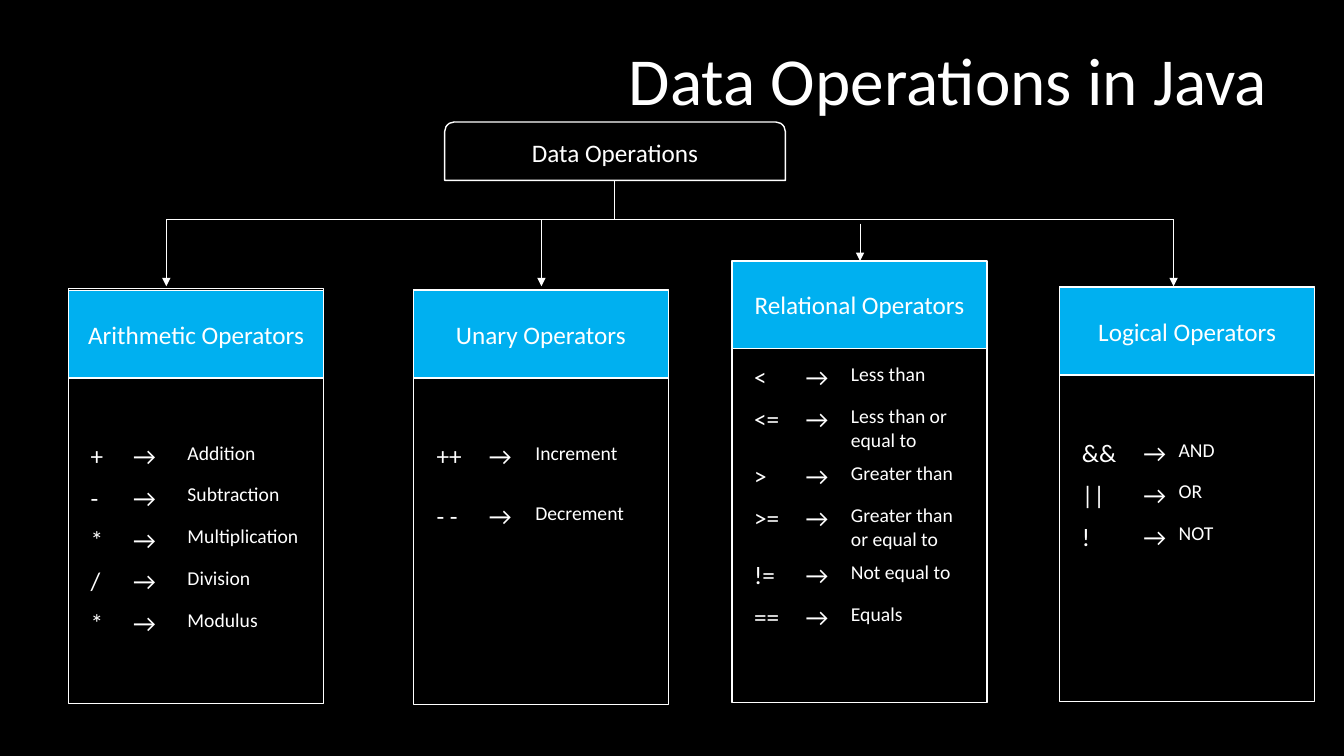
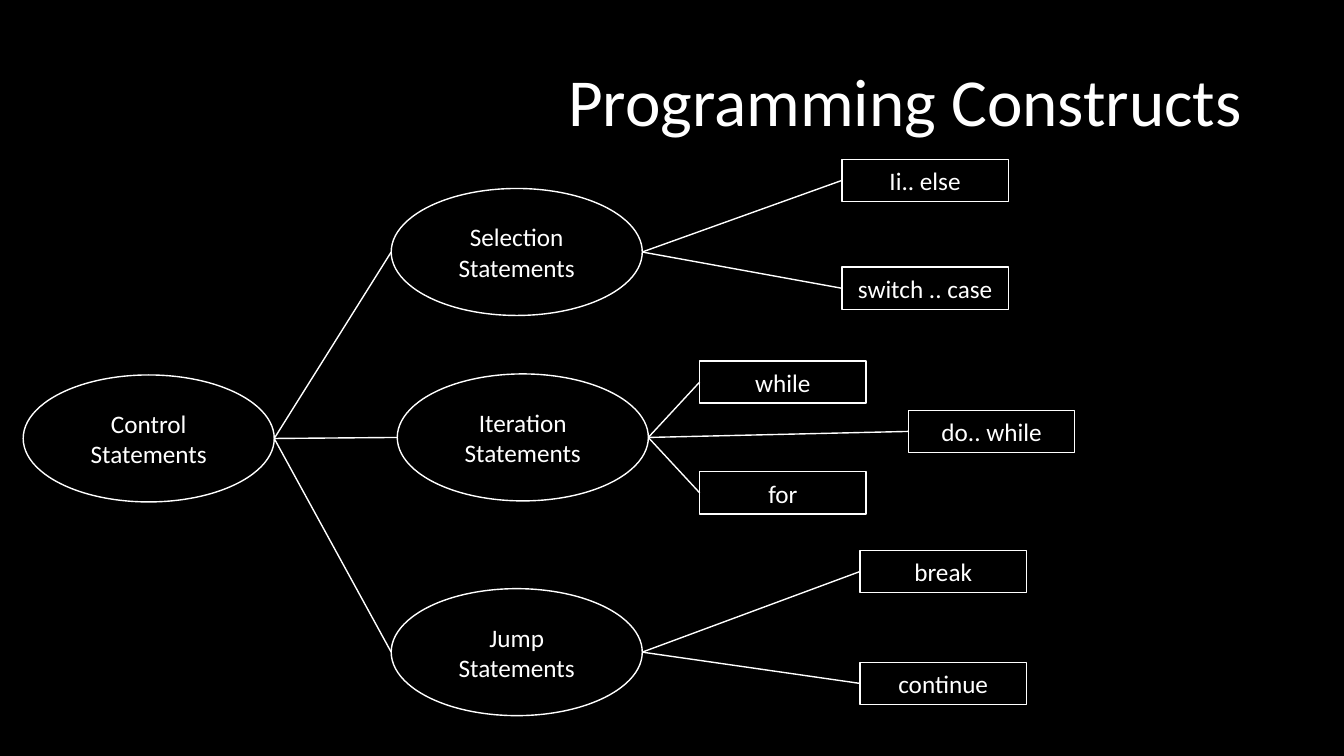
from lxml import etree
from pptx import Presentation
from pptx.dml.color import RGBColor
from pptx.enum.shapes import MSO_CONNECTOR, MSO_SHAPE
from pptx.enum.text import MSO_ANCHOR, PP_ALIGN
from pptx.oxml.ns import qn
from pptx.util import Inches, Pt

# Shared look
BLACK, WHITE, BLUE = "000000", "FFFFFF", "00B0F0"
FONT = "Calibri"
TITLE_SIZE, LABEL_SIZE, MEANING_SIZE = 48, 18, 14
PLAIN_TABLE_STYLE = "{2D5ABB26-0587-4C30-8999-92F81FD0307C}"

RECT, OVAL = MSO_SHAPE.RECTANGLE, MSO_SHAPE.OVAL
ROUND_TOP = MSO_SHAPE.ROUND_2_SAME_RECTANGLE
STRAIGHT = MSO_CONNECTOR.STRAIGHT
MIDDLE = MSO_ANCHOR.MIDDLE
LEFT, CENTER, RIGHT = PP_ALIGN.LEFT, PP_ALIGN.CENTER, PP_ALIGN.RIGHT

# Operator panels
PANEL_WIDTH, BODY_HEIGHT, HEADER_HEIGHT = 2.53, 4.12, 0.87
BUS_Y, BUS_START, BUS_END = 2.18, 1.65, 11.64
# name, left, body top, header top, table (left, top), columns, row heights, rows
PANELS = [
    ("Arithmetic Operators", 0.68, 2.86, 2.88, (0.8, 4.33), (0.42, 0.54, 1.32),
     [0.415] * 5,
     [("+", "Addition"), ("-", "Subtraction"), ("*", "Multiplication"),
      ("/", "Division"), ("*", "Modulus")]),
    ("Unary Operators", 4.1, 2.87, 2.88, (4.23, 4.33), (0.52, 0.46, 1.34),
     [0.6, 0.58],
     [("++", "Increment"), ("- -", "Decrement")]),
    ("Relational Operators", 7.26, 2.85, 2.59, (7.38, 3.55), (0.51, 0.45, 1.32),
     [0.415] * 6,
     [("<", "Less than"), ("<=", "Less than or equal to"),
      (">", "Greater than"), (">=", "Greater than or equal to"),
      ("!=", "Not equal to"), ("==", "Equals")]),
    ("Logical Operators", 10.51, 2.84, 2.85, (10.63, 4.3), (0.61, 0.35, 1.32),
     [0.415] * 3,
     [("&&", "AND"), ("||", "OR"), ("!", "NOT")]),
]
# x, start y, end y
DROPS = [(BUS_START, BUS_Y, 2.84), (5.37, BUS_Y, 2.84),
         (BUS_END, BUS_Y, 2.84), (8.53, 2.22, 2.59)]

# Control statement tree
OVAL_SIZE, LEAF_SIZE = (2.49, 1.26), (1.65, 0.42)
BRANCHES = [
    ("Selection Statements", 3.88, 1.87,
     [("Ii.. else", 8.35, 1.58), ("switch .. case", 8.35, 2.65)]),
    ("Iteration Statements", 3.94, 3.71,
     [("while", 6.94, 3.58), ("do.. while", 9.01, 4.07), ("for", 6.94, 4.68)]),
    ("Jump Statements", 3.88, 5.84,
     [("break", 8.53, 5.46), ("continue", 8.53, 6.57)]),
]


def color(hex_code):
    return RGBColor.from_string(hex_code)


def fill_with(target, hex_code):
    target.fill.solid()
    target.fill.fore_color.rgb = color(hex_code)


def write(frame, text, size, align=LEFT):
    para = frame.paragraphs[0]
    para.alignment = align
    span = para.add_run()
    span.text = text
    span.font.name = FONT
    span.font.size = Pt(size)
    span.font.color.rgb = color(WHITE)
    return para


def add_page(deck, title, left, top, width, height):
    page = deck.slides.add_slide(deck.slide_layouts[6])
    fill_with(page.background, BLACK)
    box = page.shapes.add_textbox(*map(Inches, (left, top, width, height)))
    fill_with(box, BLACK)
    box.text_frame.word_wrap = True
    box.text_frame.vertical_anchor = MIDDLE
    write(box.text_frame, title, TITLE_SIZE, RIGHT).line_spacing = 0.9
    return page


def add_box(page, kind, left, top, width, height, text="", fill=BLACK):
    box = page.shapes.add_shape(kind, *map(Inches, (left, top, width, height)))
    box.shadow.inherit = False
    fill_with(box, fill)
    box.line.color.rgb = color(WHITE)
    box.line.width = Pt(1)
    if text:
        box.text_frame.word_wrap = True
        box.text_frame.vertical_anchor = MIDDLE
        write(box.text_frame, text, LABEL_SIZE, CENTER)
    return box


def add_line(page, start, end, width, arrow=False):
    line = page.shapes.add_connector(STRAIGHT, *start, *end)
    line.line.color.rgb = color(WHITE)
    line.line.width = Pt(width)
    if arrow:
        etree.SubElement(line.line._get_or_add_ln(), qn("a:tailEnd"), type="triangle")
    etree.SubElement(line._element.spPr, qn("a:effectLst"))


def link(page, parent, child):
    """Join the right side of one shape to the left side of another."""
    start = (parent.left + parent.width, parent.top + parent.height // 2)
    end = (child.left, child.top + child.height // 2)
    add_line(page, start, end, 1)


def add_operator_table(page, left, top, columns, heights, operators):
    frame = page.shapes.add_table(
        len(operators), len(columns),
        *map(Inches, (left, top, sum(columns), sum(heights))))
    table = frame.table
    table.first_row = table.horz_banding = False
    table._tbl.tblPr.find(qn("a:tableStyleId")).text = PLAIN_TABLE_STYLE
    for column, width in zip(table.columns, columns):
        column.width = Inches(width)
    for row, height, (symbol, meaning) in zip(table.rows, heights, operators):
        row.height = Inches(height)
        entries = ((symbol, LABEL_SIZE), ("→", LABEL_SIZE), (meaning, MEANING_SIZE))
        for cell, (text, size) in zip(row.cells, entries):
            fill_with(cell, BLACK)
            write(cell.text_frame, text, size)


def add_panel(page, name, left, body_top, header_top, corner, columns, heights, operators):
    add_box(page, RECT, left, body_top, PANEL_WIDTH, BODY_HEIGHT)
    add_box(page, RECT, left, header_top, PANEL_WIDTH, HEADER_HEIGHT, name, BLUE)
    add_operator_table(page, *corner, columns, heights, operators)


def build_operations(deck):
    page = add_page(deck, "Data Operations in Java", 0.68, 0.4, 11.99, 0.87)
    add_box(page, ROUND_TOP, 4.41, 1.21, 3.38, 0.58, "Data Operations")
    for panel in PANELS:
        add_panel(page, *panel)

    # Bus line, its stem and the arrows down to the panels
    segments = [(BUS_START, BUS_Y, BUS_END, BUS_Y, False),
                (6.09, 1.79, 6.09, BUS_Y, False)]
    segments += [(x, top, x, bottom, True) for x, top, bottom in DROPS]
    for x1, y1, x2, y2, arrow in segments:
        add_line(page, (Inches(x1), Inches(y1)), (Inches(x2), Inches(y2)), 0.5, arrow)


def build_constructs(deck):
    page = add_page(deck, "Programming Constructs", 0.92, 0.4, 11.5, 1.28)
    root = add_box(page, OVAL, 0.23, 3.72, *OVAL_SIZE, "Control Statements")
    for name, left, top, leaves in BRANCHES:
        branch = add_box(page, OVAL, left, top, *OVAL_SIZE, name)
        link(page, root, branch)
        for text, leaf_left, leaf_top in leaves:
            leaf = add_box(page, RECT, leaf_left, leaf_top, *LEAF_SIZE, text)
            link(page, branch, leaf)


def main():
    deck = Presentation()
    deck.slide_width = Inches(13.33)
    deck.slide_height = Inches(7.5)
    build_operations(deck)
    build_constructs(deck)
    deck.save("out.pptx")


if __name__ == "__main__":
    main()
